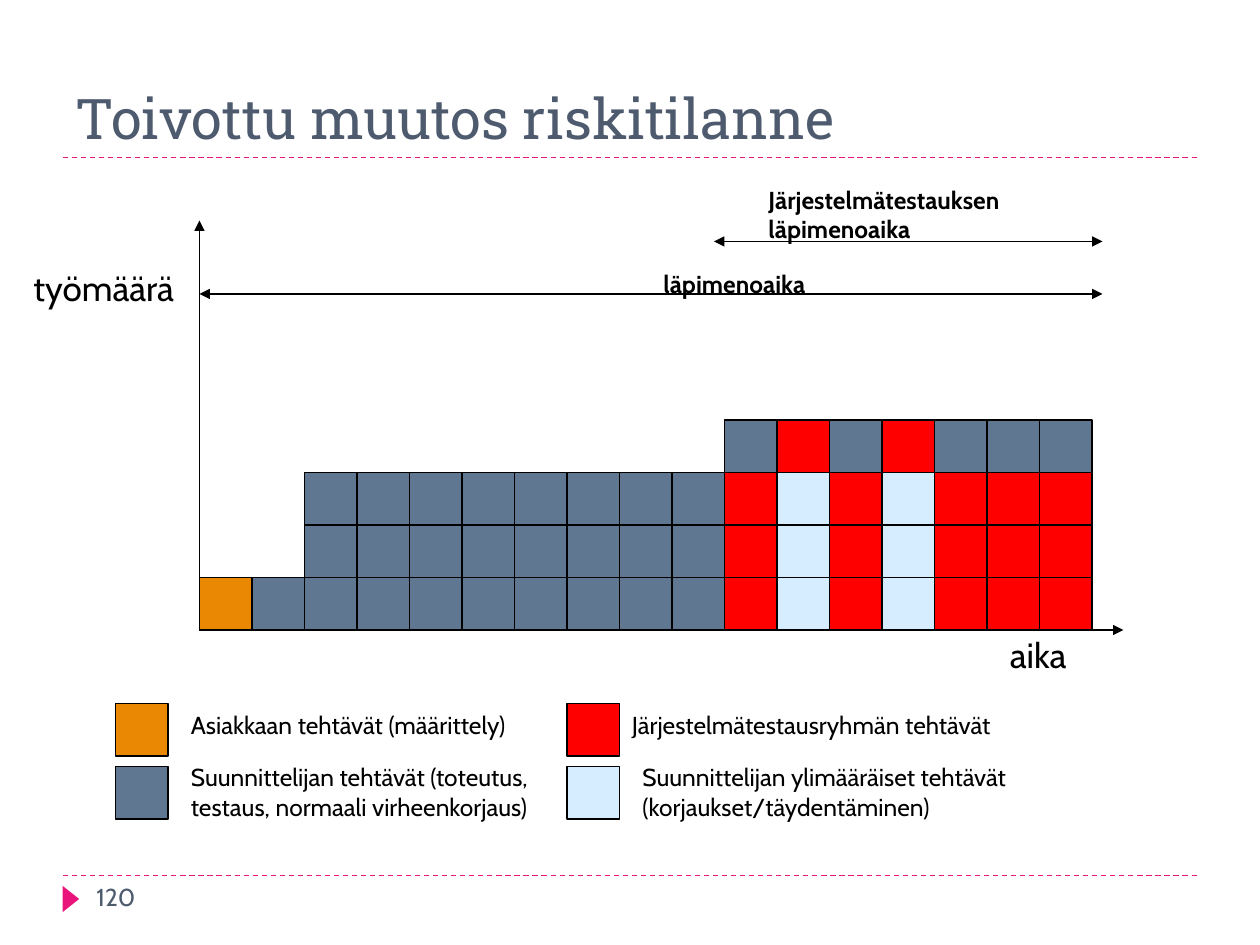
from pptx import Presentation
from pptx.dml.color import RGBColor
from pptx.enum.dml import MSO_LINE
from pptx.enum.shapes import MSO_CONNECTOR, MSO_SHAPE
from pptx.enum.text import MSO_ANCHOR, PP_ALIGN
from pptx.oxml.ns import qn
from pptx.util import Pt
from lxml.etree import SubElement

COLORS = {
    "customer": "EB8803",
    "designer": "5F7791",
    "tester": "FF0000",
    "extra": "D6ECFF",
    "accent": "EA157A",
    "title": "4E5B6F",
    "black": "000000",
}
CELL = 30
# One string for each time step, tasks from the bottom up
TASKS = {"C": "customer", "D": "designer", "T": "tester", "E": "extra"}
COLUMNS = ["C", "D"] + ["DDD"] * 8 + ["TTTD", "EEET"] * 2 + ["TTTD"] * 3


def rgb(name):
    return RGBColor.from_string(COLORS[name])


def style_run(p, size, color, font="Cabin", bold=False):
    f = p.runs[0].font
    f.name, f.size, f.bold = font, Pt(size), bold
    f.color.rgb = rgb(color)


def add_text(s, box, text, size=14, color="black", bold=False):
    tf = s.shapes.add_textbox(*map(Pt, box)).text_frame
    tf.word_wrap = True
    tf.text = text
    style_run(tf.paragraphs[0], size, color, bold=bold)


def add_line(s, start, end, color="black", ends=(), dash=None):
    """Draw a line with a triangle at each of the ends named: headEnd, tailEnd."""
    c = s.shapes.add_connector(MSO_CONNECTOR.STRAIGHT, *map(Pt, start + end))
    c.line.color.rgb = rgb(color)
    c.line.width = Pt(0.75)
    if dash:
        c.line.dash_style = dash
    ln = c.line._get_or_add_ln()
    for tag in ends:
        SubElement(ln, qn("a:" + tag), type="triangle")
    SubElement(c._element.spPr, qn("a:effectLst"))


def add_shape(s, kind, box, fill):
    sp = s.shapes.add_shape(kind, *map(Pt, box))
    sp.shadow.inherit = False
    sp.fill.solid()
    sp.fill.fore_color.rgb = rgb(fill)
    return sp


def add_cell(s, x, y, fill):
    sp = add_shape(s, MSO_SHAPE.RECTANGLE, (x, y, CELL, CELL), fill)
    sp.line.color.rgb = rgb("black")
    sp.line.width = Pt(0.75)


def add_title(s, box, text):
    x, y, w, h = box
    sp = s.shapes.title
    sp.left, sp.top, sp.width, sp.height = map(Pt, box)
    tf = sp.text_frame
    tf.vertical_anchor = MSO_ANCHOR.BOTTOM
    tf.text = text
    p = tf.paragraphs[0]
    p.alignment = PP_ALIGN.LEFT
    style_run(p, 32, "title", "Roboto Slab")
    add_line(s, (x, y + h), (x + w, y + h), "accent", dash=MSO_LINE.DASH)


def add_footer(s, box, number):
    x, y, w, h = box
    add_line(s, (x, y), (x + w, y), "accent", dash=MSO_LINE.DASH)
    marker = add_shape(s, MSO_SHAPE.ISOSCELES_TRIANGLE,
                       (x - 3, y + 8.6, 15, 9.4), "accent")
    marker.rotation = 90
    marker.line.fill.background()
    add_text(s, (x + 12, y, 156, h), number, color="title")


def add_workload(s, box):
    """Draw the axes, the stacked task cells and the lead time arrows."""
    x, y, w, h = box
    base, right = y + h, x + w
    add_line(s, (x, base), (right, base), ends=["tailEnd"])
    add_line(s, (x, base), (x, y), ends=["tailEnd"])
    for col, tasks in enumerate(COLUMNS):
        for row, task in enumerate(tasks, 1):
            add_cell(s, x + col * CELL, base - row * CELL, TASKS[task])
    add_text(s, (x - 102, y + 23, 102, 31), "työmäärä", 20)
    add_text(s, (right - 72, base - 1.5, 96, 31), "aika", 20)

    both = ["headEnd", "tailEnd"]
    for start, dy in ((x + 294, 12), (x, 42)):
        add_line(s, (start, y + dy), (right - 12, y + dy), ends=both)
    add_text(s, (x + 258, y + 24, 138, 24), "läpimenoaika", bold=True)
    add_text(s, (x + 318, y - 24, 192, 41),
             "Järjestelmätestauksen läpimenoaika", bold=True)


def add_legend(s, box):
    x, y, w, h = box
    step = h - CELL
    entries = [
        # column x, row, text offset x and y, text width, text height
        (0, 0, 36, 0, 210, 24, "customer", "Asiakkaan tehtävät (määrittely)"),
        (0, 1, 36, -6, 222, 41, "designer",
         "Suunnittelijan tehtävät (toteutus, testaus, normaali virheenkorjaus)"),
        (258, 0, 30, 0, 240, 24, "tester", "Järjestelmätestausryhmän tehtävät"),
        (258, 1, 36, -6, w - 294, 41, "extra",
         "Suunnittelijan ylimääräiset tehtävät (korjaukset/täydentäminen)"),
    ]
    for dx, row, tx, ty, tw, th, fill, text in entries:
        left, top = x + dx, y + row * step
        add_cell(s, left, top, fill)
        add_text(s, (left + tx, top + ty, tw, th), text)


def main():
    prs = Presentation()
    prs.slide_width, prs.slide_height = Pt(720), Pt(540)
    s = prs.slides.add_slide(prs.slide_layouts[5])
    add_title(s, (36, 18, 648, 72), "Toivottu muutos riskitilanne")
    add_workload(s, (114, 126, 528, 234))
    add_legend(s, (66, 402, 582, 66))
    add_footer(s, (36, 500.4, 648, 29), "120")
    prs.save("out.pptx")


if __name__ == "__main__":
    main()
